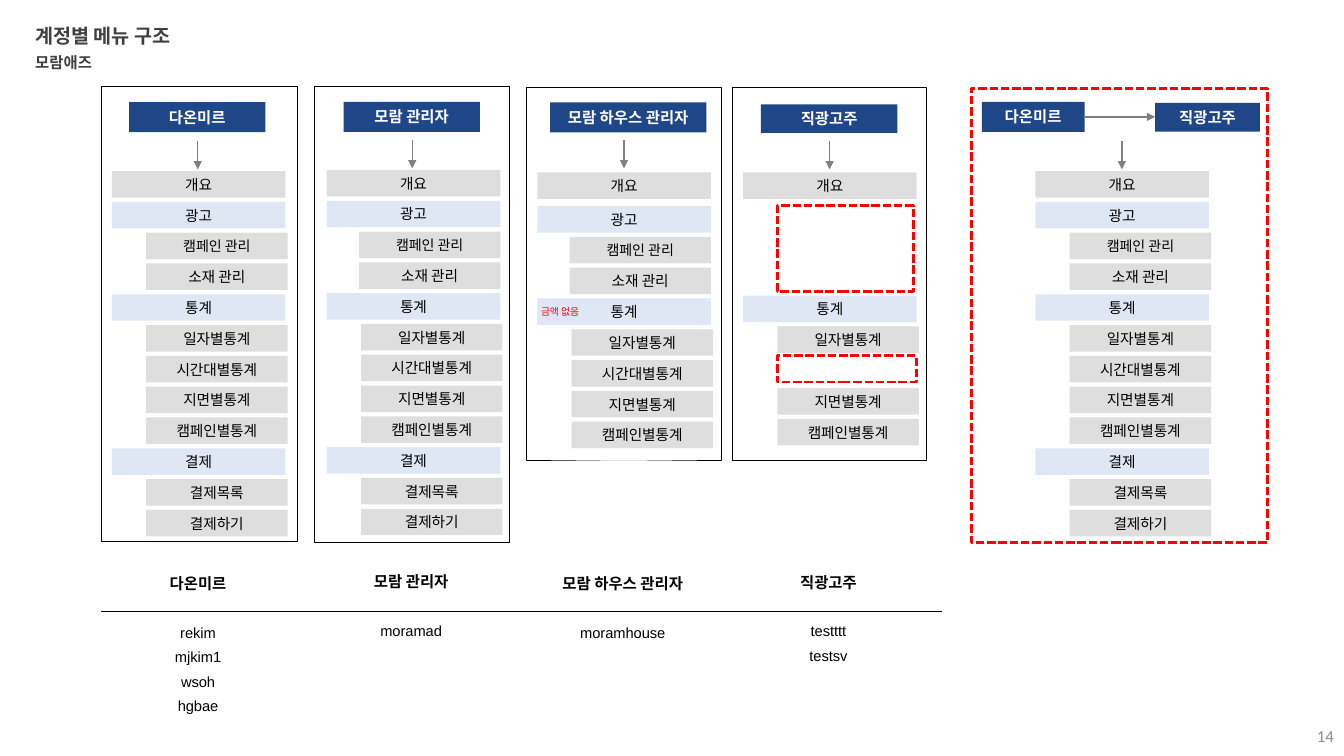
from lxml.etree import SubElement
from pptx import Presentation
from pptx.dml.color import RGBColor
from pptx.enum.dml import MSO_LINE
from pptx.enum.shapes import MSO_CONNECTOR, MSO_SHAPE
from pptx.enum.text import MSO_ANCHOR, PP_ALIGN
from pptx.oxml.ns import qn
from pptx.util import Pt

TITLE = "계정별 메뉴 구조"
SUBTITLE = "모람애즈"
NOTE = "금액 없음"
PAGE = "14"
MENU = [
    ("개요", "single"), ("광고", "group"), ("캠페인 관리", "campaign"),
    ("소재 관리", "campaign"), ("통계", "group"), ("일자별통계", "report"),
    ("시간대별통계", "report"), ("지면별통계", "report"),
    ("캠페인별통계", "report"), ("결제", "group"), ("결제목록", "report"),
    ("결제하기", "report"),
]
BILLING = {"결제", "결제목록", "결제하기"}
ADS = {"광고", "캠페인 관리", "소재 관리"}
COLUMNS = [
    {"frame": (72, 61.2, 140.6, 325.4), "heads": [("다온미르", 92.2, 72.9, 97.4, 21.4)],
     "arrow": (141.3, 100.8), "menu": (79.9, 122.2), "lag": 0, "nudge": 0, "hidden": set()},
    {"frame": (224.2, 61.9, 139.7, 325.4), "heads": [("모람 관리자", 245.4, 72.7, 97.4, 21.4)],
     "arrow": (294.5, 100.1), "menu": (233.4, 121.4), "lag": 0, "nudge": -1.5, "hidden": set()},
    {"frame": (376, 62.1, 139, 266.4), "heads": [("모람 하우스 관리자", 392.9, 73.2, 111.6, 21.4)],
     "arrow": (445.7, 100.1), "menu": (383.8, 123.2), "lag": 2, "nudge": -1.5, "hidden": BILLING},
    {"frame": (522.9, 62.3, 139, 266.4), "heads": [("직광고주", 543.6, 74.5, 97.4, 20.4)],
     "arrow": (592.6, 100.8), "menu": (530.8, 123.2), "lag": 0, "nudge": 0,
     "hidden": BILLING | ADS | {"시간대별통계"}},
    {"frame": (693.9, 63.4, 211.7, 324), "dashed": True,
     "heads": [("다온미르", 701.3, 72.7, 73.4, 21.4), ("직광고주", 825.1, 73.6, 74.9, 20.4)],
     "arrow": (801.4, 100.8), "menu": (739.6, 122.2), "lag": 0, "nudge": 0, "hidden": set()},
]
REMOVED = [(555.1, 146.9, 97.2, 61.2), (555.1, 254.2, 99.4, 18.7)]
ACCOUNTS = [
    ("다온미르", ["rekim", "mjkim1", "wsoh", "hgbae"], (82.1, 408.2, 118.8, 111.6)),
    ("모람 관리자", ["moramad"], (249.1, 406.8, 89.3, 63.4)),
    ("모람 하우스 관리자", ["moramhouse"], (386.6, 408.2, 116.6, 55.4)),
    ("직광고주", ["testttt", "testsv"], (533.5, 407.2, 116.6, 55.4)),
]
ROW_STEP, ROW_HEIGHT, WIDE, NARROW, INDENT = 22, 18.9, 124, 101, 24.5
ARROW_LENGTH = 20.2
NAVY, PALE, GREY, RED, BLACK = "1F4787", "DAE3F3", "D9D9D9", "FF0000", "000000"

deck = Presentation()
deck.slide_width, deck.slide_height = Pt(960), Pt(540)
slide = deck.slides.add_slide(deck.slide_layouts[6])


def paint(target, color):
    """Apply a hex colour to a colour format."""
    target.rgb = RGBColor.from_string(color)


def write(paragraph, words, color, spacing=None, **font):
    """Put one formatted run in a paragraph."""
    run = paragraph.add_run()
    run.text = words
    for key, value in font.items():
        setattr(run.font, key, value)
    for key, value in (spacing or {}).items():
        setattr(paragraph, key, value)
    paint(run.font.color, color)


def textbox(box, inset=None, **frame_format):
    """Add a wrapping text box and return its frame."""
    frame = slide.shapes.add_textbox(*map(Pt, box)).text_frame
    settings = {"word_wrap": True, **frame_format}
    if inset is not None:
        settings.update({f"margin_{side}": inset for side in ("left", "top", "right", "bottom")})
    for key, value in settings.items():
        setattr(frame, key, value)
    return frame


def label(words, box, fill, color, alpha=None, **font):
    """Add a filled menu or account label."""
    bar = slide.shapes.add_shape(MSO_SHAPE.ROUNDED_RECTANGLE, *map(Pt, box))
    bar.adjustments[0] = 0
    bar.shadow.inherit = False
    bar.fill.solid()
    paint(bar.fill.fore_color, fill)
    bar.line.fill.background()
    if alpha:
        tint = bar.fill._xPr.find(qn("a:solidFill"))[0]
        SubElement(tint, qn("a:alpha")).set("val", str(alpha * 1000))
    bar.text_frame.vertical_anchor = MSO_ANCHOR.MIDDLE
    write(bar.text_frame.paragraphs[0], words, color,
          {"alignment": PP_ALIGN.CENTER}, name="Arial", **font)


def outline(box, dashed=False):
    """Add an empty solid black or dashed red frame."""
    border = slide.shapes.add_shape(MSO_SHAPE.RECTANGLE, *map(Pt, box))
    border.shadow.inherit = False
    border.fill.background()
    paint(border.line.color, RED if dashed else BLACK)
    border.line.width = Pt(2 if dashed else 0.25)
    if dashed:
        border.line.dash_style = MSO_LINE.SQUARE_DOT


def rule(start, end, color, width, arrow=False):
    """Draw a straight line, with an optional arrowhead."""
    link = slide.shapes.add_connector(MSO_CONNECTOR.STRAIGHT, *map(Pt, start + end))
    paint(link.line.color, color)
    link.line.width = Pt(width)
    if arrow:
        SubElement(link.line._get_or_add_ln(), qn("a:tailEnd")).set("type", "triangle")
    SubElement(link._element.spPr, qn("a:effectLst"))


def draw_column(column):
    """Draw one account type with its menu."""
    outline(column["frame"], column.get("dashed", False))
    for words, *box in column["heads"]:
        label(words, box, NAVY, "FFFFFF", size=Pt(11), bold=True)
    x, y = column["arrow"]
    rule((x, y), (x, y + ARROW_LENGTH), "808080", 1, True)
    left, top = column["menu"]
    for index, (words, level) in enumerate(MENU):
        if words in column["hidden"]:
            continue
        child = level in ("campaign", "report")
        row_left = left + INDENT * child + column["nudge"] * (level == "campaign")
        row_top = top + index * ROW_STEP + column["lag"] * (index > 0)
        label(words, (row_left, row_top, NARROW if child else WIDE, ROW_HEIGHT),
              PALE if level == "group" else GREY, BLACK, 86,
              size=Pt(10 if words == "캠페인 관리" else 10.5))


def draw_accounts(heading, users, box):
    """List the user names of one account type."""
    frame = textbox(box)
    spacing = {"alignment": PP_ALIGN.CENTER, "line_spacing": 0.9}
    write(frame.paragraphs[0], heading, BLACK, spacing, name="Arial", size=Pt(11), bold=True)
    for index, user in enumerate(users):
        before = Pt(6.1 if index else 23.2)
        write(frame.add_paragraph(), user, BLACK, {**spacing, "space_before": before},
              name="Arial", size=Pt(10.5))


write(textbox((743.8, 511.2, 216, 28.8), vertical_anchor=MSO_ANCHOR.MIDDLE).paragraphs[0],
      PAGE, "8C8C8C", {"alignment": PP_ALIGN.RIGHT}, name="Calibri", size=Pt(12))
write(textbox((25.2, 38.2, 218.2, 18.7), 0).paragraphs[0],
      SUBTITLE, "404040", name="Calibri", size=Pt(11), bold=True)
write(textbox((25.2, 17.3, 110.9, 15.8), 0).paragraphs[0],
      TITLE, "404040", name="Noto Sans CJK KR", size=Pt(14), bold=True)
for column in COLUMNS:
    draw_column(column)
rule((774.7, 83.5), (825.1, 83.5), "808080", 1, True)
for gap in REMOVED:
    outline(gap, True)
write(textbox((379.4, 214.6, 135.4, 15.8)).paragraphs[0],
      NOTE, RED, name="Calibri", size=Pt(7))
rule((72, 437), (673.2, 437), BLACK, 0.5)
for account in ACCOUNTS:
    draw_accounts(*account)

deck.save("out.pptx")
